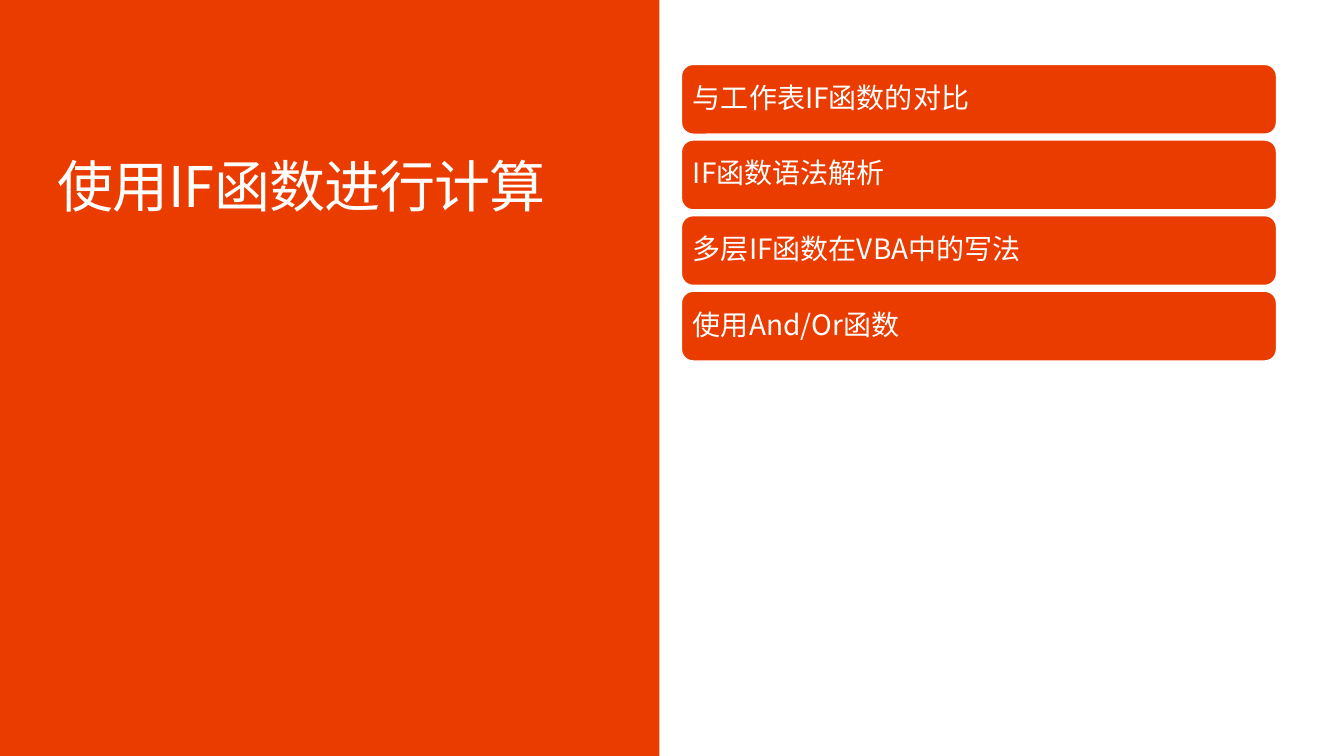
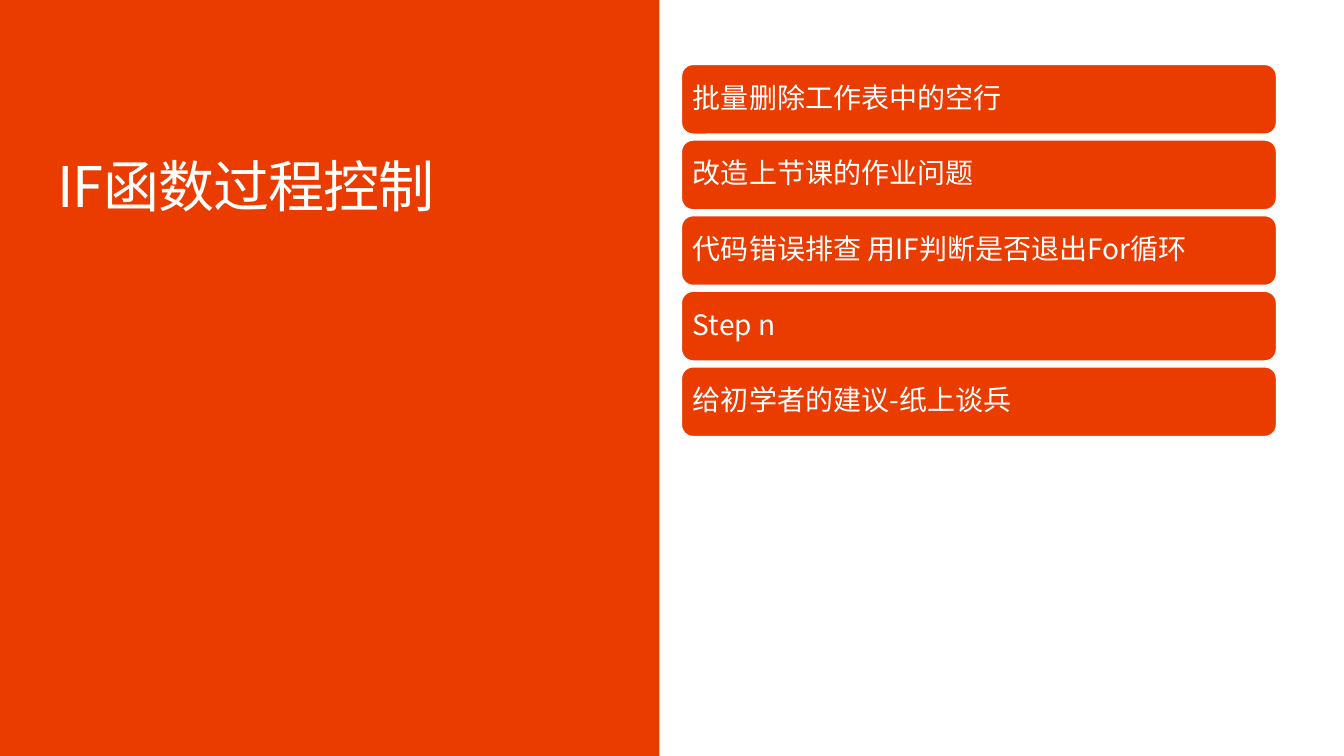
import pptx
import pptx.util
import pptx.dml.color
import pptx.enum.shapes
import pptx.enum.text
import pptx.oxml.ns
import lxml.etree

Inches, Pt = pptx.util.Inches, pptx.util.Pt
SHAPE = pptx.enum.shapes.MSO_SHAPE
ANCHOR = pptx.enum.text.MSO_ANCHOR
ALIGN = pptx.enum.text.PP_ALIGN

# Shared style
ORANGE = pptx.dml.color.RGBColor(0xEB, 0x3C, 0x00)
WHITE = pptx.dml.color.RGBColor(0xFF, 0xFF, 0xFF)
FONT = "Noto Sans CJK SC"
SLIDE_W, SLIDE_H = 13.33, 7.5

# Regions as left, top, width, height in inches
PANEL = (0, 0, 6.54, SLIDE_H)
TITLE = (0.57, 1.58, 5.72, 1.82)
TOPICS = (6.76, 0.64, 5.9, 6.0)
ROWS = 8            # grid rows in the topic region
BAR_SHARE = 0.92    # share of a row filled by its bar


def set_text(shape, text, size, inset, anchor, spacing=0):
    """Write one left-aligned white line and return its paragraph."""
    tf = shape.text_frame
    tf.word_wrap = True
    tf.vertical_anchor = anchor
    tf.margin_left = tf.margin_right = Inches(inset)
    tf.margin_top = tf.margin_bottom = Inches(inset)
    p = tf.paragraphs[0]
    p.text = text
    p.alignment = ALIGN.LEFT
    p.line_spacing = 0.9
    font = p.runs[0].font
    font.size = Pt(size)
    font.color.rgb = WHITE
    font.name = FONT
    # East Asian typeface and letter spacing
    rPr = p.runs[0]._r.get_or_add_rPr()
    ea = lxml.etree.SubElement(rPr, pptx.oxml.ns.qn("a:ea"))
    ea.set("typeface", FONT)
    if spacing:
        rPr.set("spc", str(round(spacing * 100)))
    return p


def add_block(s, kind, box):
    sp = s.shapes.add_shape(kind, *map(Inches, box))
    sp.shadow.inherit = False
    sp.fill.solid()
    sp.fill.fore_color.rgb = ORANGE
    sp.line.fill.background()
    return sp


def add_title_panel(s, title):
    add_block(s, SHAPE.RECTANGLE, PANEL)
    sp = s.shapes.add_textbox(*map(Inches, TITLE))
    p = set_text(sp, title, 40, 0, ANCHOR.TOP, spacing=-0.7)
    p.space_before = Pt(8)


def add_topics(s, topics, box):
    left, top, width, height = box
    row = height / ROWS
    for i, topic in enumerate(topics):
        bar = add_block(s, SHAPE.ROUNDED_RECTANGLE,
                        (left, top + i * row, width, row * BAR_SHARE))
        bar.line.color.rgb = WHITE
        bar.line.width = Pt(0.85)
        p = set_text(bar, topic, 20, 0.08, ANCHOR.MIDDLE)
        p.space_after = Pt(7)


def add_section(prs, title, topics):
    s = prs.slides.add_slide(prs.slide_layouts[6])
    add_title_panel(s, title)
    add_topics(s, topics, TOPICS)


SECTIONS = [
    ("使用IF函数进行计算", [
        "与工作表IF函数的对比",
        "IF函数语法解析",
        "多层IF函数在VBA中的写法",
        "使用And/Or函数",
    ]),
    ("IF函数过程控制", [
        "批量删除工作表中的空行",
        "改造上节课的作业问题",
        "代码错误排查 用IF判断是否退出For循环",
        "Step n",
        "给初学者的建议-纸上谈兵",
    ]),
]

prs = pptx.Presentation()
prs.slide_width, prs.slide_height = Inches(SLIDE_W), Inches(SLIDE_H)
for title, topics in SECTIONS:
    add_section(prs, title, topics)
prs.save("out.pptx")
